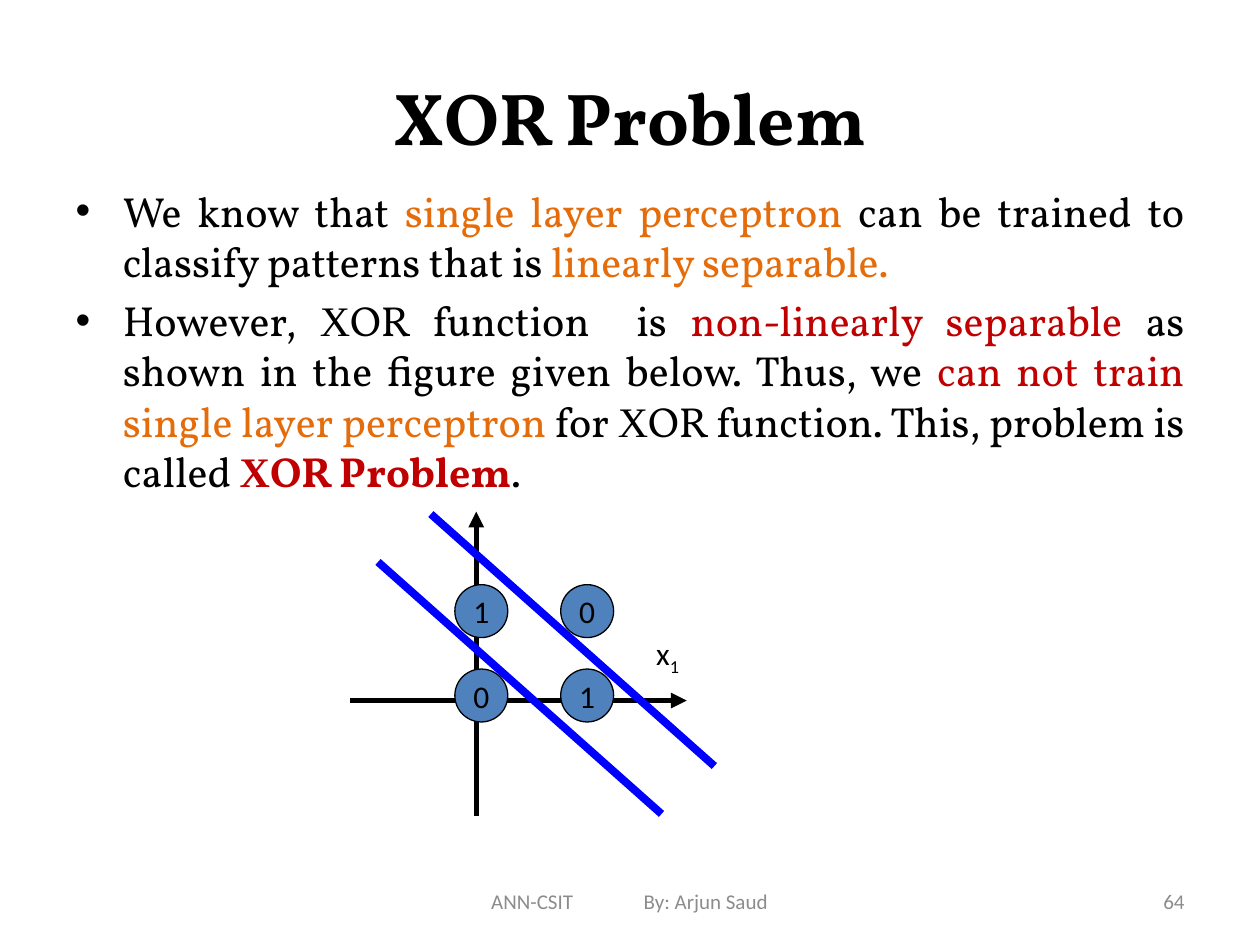
from lxml.etree import SubElement
from pptx import Presentation
from pptx.dml.color import RGBColor
from pptx.enum.shapes import MSO_CONNECTOR as Connector, MSO_SHAPE as Shape
from pptx.enum.text import MSO_ANCHOR as Anchor, MSO_AUTO_SIZE as AutoSize, PP_ALIGN as Align
from pptx.oxml.ns import qn
from pptx.util import Inches, Pt

COLORS = {
    "black": "000000",
    "orange": "E46C0A",
    "red": "C00000",
    "grey": "8C8C8C",
    "node": "4F81BD",
    "boundary": "0000FF",
}
SERIF, SANS, TIMES = "Vollkorn", "Calibri", "Times New Roman"


def add_run(paragraph, text, color="black", **font_format):
    run = paragraph.add_run()
    run.text = text
    run.font.color.rgb = RGBColor.from_string(COLORS[color])
    for name, value in font_format.items():
        setattr(run.font, name, value)
    return run


def add_line(shapes, start, end, color, width, arrow=False):
    line = shapes.add_connector(
        Connector.STRAIGHT, *(Inches(value) for value in (*start, *end)))
    line.line.color.rgb = RGBColor.from_string(COLORS[color])
    line.line.width = Pt(width)
    if arrow:
        SubElement(line.line._get_or_add_ln(), qn("a:tailEnd"), type="triangle")
    SubElement(line._element.spPr, qn("a:effectLst"))


presentation = Presentation()
presentation.slide_width, presentation.slide_height = Inches(10), Inches(7.5)
slide = presentation.slides.add_slide(presentation.slide_layouts[1])

# Title and bullet list
title, body = slide.shapes.title, slide.placeholders[1]
for placeholder, top, height in ((title, 0.3, 1.25), (body, 1.42, 5.5)):
    placeholder.left, placeholder.top = Inches(0.5), Inches(top)
    placeholder.width, placeholder.height = Inches(9), Inches(height)
    placeholder.text_frame.auto_size = AutoSize.NONE

title.text_frame.vertical_anchor = Anchor.MIDDLE
title_paragraph = title.text_frame.paragraphs[0]
title_paragraph.alignment = Align.CENTER
add_run(title_paragraph, "XOR Problem", name=SERIF, size=Pt(42), bold=True)

bullets = [
    [
        ("We know that ", "black", {}),
        ("single layer perceptron", "orange", {}),
        (" can be trained to classify patterns that is ", "black", {}),
        ("linearly separable.", "orange", {}),
    ],
    [
        ("However, ", "black", {}),
        ("X", "black", {"name": TIMES}),
        ("OR function  is ", "black", {}),
        ("non-linearly separable ", "red", {}),
        ("as shown in the figure given below. Thus, we ", "black", {}),
        ("can not train ", "red", {}),
        ("single layer perceptron ", "orange", {}),
        ("for ", "black", {}),
        ("X", "black", {"name": TIMES}),
        ("OR function. This, problem is called ", "black", {}),
        ("X", "red", {"name": TIMES, "bold": True}),
        ("OR Problem", "red", {"bold": True}),
        (".", "black", {}),
    ],
]
for index, runs in enumerate(bullets):
    if index:
        paragraph = body.text_frame.add_paragraph()
    else:
        paragraph = body.text_frame.paragraphs[0]
        paragraph.space_before = Pt(0)
    paragraph.alignment = Align.JUSTIFY
    for text, color, font_format in runs:
        add_run(paragraph, text, color, **{"name": SERIF, "size": Pt(24), **font_format})

# Footer and slide number
footers = [
    ("ANN-CSIT\tBy: Arjun Saud", 3.8, 2.79, Align.LEFT),
    ("64", 7.17, 2.33, Align.RIGHT),
]
for text, left, width, alignment in footers:
    box = slide.shapes.add_textbox(Inches(left), Inches(6.95), Inches(width), Inches(0.4))
    box.text_frame.word_wrap = True
    box.text_frame.vertical_anchor = Anchor.MIDDLE
    paragraph = box.text_frame.paragraphs[0]
    paragraph.alignment = alignment
    if "\t" in text:
        tabs = SubElement(paragraph._p.get_or_add_pPr(), qn("a:tabLst"))
        SubElement(tabs, qn("a:tab"), pos=str(Inches(1.21)), algn="l")
    add_run(paragraph, text, "grey", name=SANS, size=Pt(12))

# XOR diagram: axes, label, nodes, then the two decision boundaries
diagram = slide.shapes.add_group_shape().shapes
add_line(diagram, (3.78, 6.48), (3.78, 4.06), "black", 3, arrow=True)
add_line(diagram, (2.78, 5.56), (5.45, 5.56), "black", 3, arrow=True)

label = diagram.add_textbox(Inches(5.11), Inches(4.98), Inches(0.49), Inches(0.5))
label.text_frame.word_wrap = False
label_paragraph = label.text_frame.paragraphs[0]
add_run(label_paragraph, "x", name=SANS, size=Pt(18))
subscript = add_run(label_paragraph, "1", name=SANS, size=Pt(18))
subscript._r.get_or_add_rPr().set("baseline", "-25000")

NODE_SIZE = Inches(0.42)
for row, values in enumerate(("10", "01")):
    for column, value in enumerate(values):
        node = diagram.add_shape(
            Shape.OVAL, Inches(3.61 + 0.84 * column), Inches(4.64 + 0.67 * row),
            NODE_SIZE, NODE_SIZE)
        node.shadow.inherit = False
        node.fill.solid()
        node.fill.fore_color.rgb = RGBColor.from_string(COLORS["node"])
        node.line.color.rgb = RGBColor.from_string(COLORS["black"])
        node.line.width = Pt(0.75)
        node.text_frame.word_wrap = False
        node.text_frame.vertical_anchor = Anchor.MIDDLE
        paragraph = node.text_frame.paragraphs[0]
        paragraph.alignment = Align.CENTER
        add_run(paragraph, value, name=SANS, size=Pt(18))

for left, top in ((3, 4.46), (3.42, 4.08)):
    add_line(diagram, (left, top), (left + 2.25, top + 2), "boundary", 4.5)

presentation.save("out.pptx")
